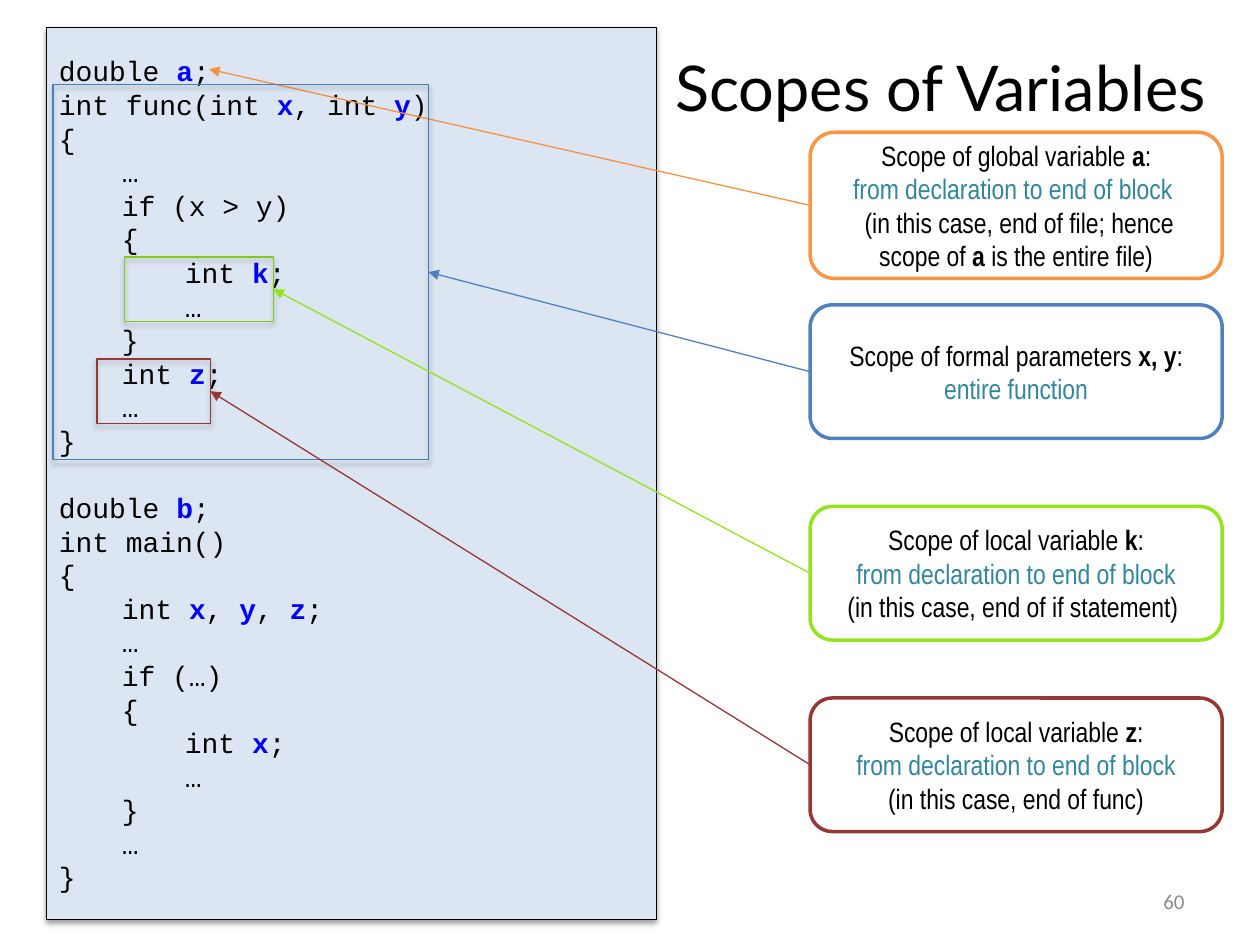
from dataclasses import dataclass

from lxml import etree
from pptx import Presentation
from pptx import util as u
from pptx.dml.color import RGBColor
from pptx.enum import shapes, text
from pptx.oxml.ns import qn

COLOURS = {
    "ink": "000000", "paper": "FFFFFF", "panel": "DCE6F2", "name": "0000FF",
    "rule": "31859C", "number": "8B8B8B", "orange": "F79646", "orange arrow": "F59240",
    "blue": "4F81BD", "blue frame": "4A7EBB", "green": "91E41E",
    "green frame": "80CA18", "red": "953735",
}
WIDTH, HEIGHT = u.Inches(10), u.Inches(7.5)
COLUMNS, ROWS = 40, 30

CODE = """double *a*;
int func(int *x*, int *y*)
{
\t…
\tif (x > y)
\t{
\t\tint *k*;
\t\t…
\t}
\tint *z*;
\t…
}

double *b*;
int main()
{
\tint *x*, *y*, *z*;
\t…
\tif (…)
\t{
\t\tint *x*;
\t\t…
\t}
\t…
}"""


@dataclass
class Box:
    """A rectangle in columns and rows of the slide grid."""
    left: float
    top: float
    width: float
    height: float

    def inside(self, left, top, width, height):
        """Return a box offset from this one's corner."""
        return Box(self.left + left, self.top + top, width, height)

    def lengths(self):
        """Return left, top, width and height in slide units."""
        return (across(self.left), down(self.top), across(self.width), down(self.height))


def across(columns):
    """Convert columns to a length."""
    return round(WIDTH * columns / COLUMNS)


def down(rows):
    """Convert rows to a length."""
    return round(HEIGHT * rows / ROWS)


def colour(name):
    """Look up a named colour."""
    return RGBColor.from_string(COLOURS[name])


def add_span(para, words, face, size, tint="ink", bold=False):
    """Add one formatted run."""
    span = para.add_run()
    span.text = words
    span.font.name, span.font.size, span.font.bold = face, u.Pt(size), bold
    span.font.color.rgb = colour(tint)


def add_marked(para, line, face, tint="ink", marked_tint="ink"):
    """Add a line at 16 points in which starred words are bold."""
    for index, words in enumerate(line.split("*")):
        if words:
            marked = index % 2 == 1
            add_span(para, words, face, 16, marked_tint if marked else tint, marked)


def add_shadow(shape, opacity, distance):
    """Give a shape a soft shadow below it."""
    shape.shadow.inherit = False
    effects = shape._element.spPr.find(qn("a:effectLst"))
    shadow = etree.SubElement(effects, qn("a:outerShdw"), blurRad=str(u.Pt(3.1)),
                              dist=str(u.Pt(distance)), dir="5400000", rotWithShape="0")
    tint = etree.SubElement(shadow, qn("a:srgbClr"), val=COLOURS["ink"])
    etree.SubElement(tint, qn("a:alpha"), val=str(opacity * 1000))


def add_panel(page, box, kind, line, weight, fill=None):
    """Add an outlined shape, filled if a fill is named."""
    shape = page.shapes.add_shape(kind, *box.lengths())
    shape.shadow.inherit = False
    shape.line.color.rgb, shape.line.width = colour(line), u.Pt(weight)
    if fill:
        shape.fill.solid()
        shape.fill.fore_color.rgb = colour(fill)
    else:
        shape.fill.background()
    shape.text_frame.word_wrap = True
    shape.text_frame.vertical_anchor = text.MSO_ANCHOR.MIDDLE
    return shape


def add_paragraphs(frame, lines, alignment):
    """Yield an aligned paragraph with each line."""
    for index, line in enumerate(lines):
        para = frame.add_paragraph() if index else frame.paragraphs[0]
        para.alignment = alignment
        yield para, line


def place_title(page, box):
    """Place the slide title."""
    title = page.shapes.title
    title.left, title.top, title.width, title.height = box.lengths()
    title.text_frame.vertical_anchor = text.MSO_ANCHOR.MIDDLE
    para = title.text_frame.paragraphs[0]
    para.alignment = text.PP_ALIGN.LEFT
    add_span(para, "Scopes of Variables", "Lato", 36)


def place_code(page, box):
    """Place the program listing."""
    panel = add_panel(page, box, shapes.MSO_SHAPE.RECTANGLE, "ink", 0.75, "panel")
    add_shadow(panel, 38, 1.6)
    lines = CODE.split("\n")
    for para, line in add_paragraphs(panel.text_frame, lines, text.PP_ALIGN.LEFT):
        add_marked(para, line, "Courier New", marked_tint="name")
        if not line:
            para._p.get_or_add_endParaRPr().set("sz", "1600")


def place_label(page, box, tint, paragraphs):
    """Place a rounded label whose second line states the rule."""
    label = add_panel(page, box, shapes.MSO_SHAPE.ROUNDED_RECTANGLE, tint, 2, "paper")
    for para, block in add_paragraphs(label.text_frame, paragraphs, text.PP_ALIGN.CENTER):
        for index, line in enumerate(block.split("\n")):
            if index:
                para.add_line_break()
            add_marked(para, line, "Arial Narrow", "rule" if index == 1 else "ink")
    return label


def place_frame(page, box, tint):
    """Outline the lines of code that form a scope."""
    frame = add_panel(page, box, shapes.MSO_SHAPE.RECTANGLE, tint, 0.75)
    add_shadow(frame, 35, 1.8)
    return frame


def place_arrow(page, label, tint, frame=None, target=None):
    """Point from a label to a scope frame or to a target box's corner."""
    end = target.lengths()[:2] if target else (0, 0)
    arrow = page.shapes.add_connector(shapes.MSO_CONNECTOR.STRAIGHT, 0, 0, *end)
    arrow.begin_connect(label, 1)
    if frame:
        arrow.end_connect(frame, 3)
    arrow.line.color.rgb, arrow.line.width = colour(tint), u.Pt(0.75)
    etree.SubElement(arrow.line._get_or_add_ln(), qn("a:tailEnd"), type="triangle")
    etree.SubElement(arrow._element.spPr, qn("a:effectLst"))


def place_scopes(page, code, column):
    """Place the four labels, with their frames and arrows."""
    rule = "from declaration to end of block"
    local = "Scope of local variable *{}*:\n" + rule
    scopes = [
        (0, 4.64, "orange", "orange arrow", None, None,
         [f"Scope of global variable *a*:\n{rule} \n"
          " (in this case, end of file; hence scope of *a* is the entire file)"]),
        (5.48, 4.24, "blue", "blue", "blue frame", (0.2, 1.8, 11.92, 11.92),
         ["Scope of formal parameters *x, y*:\nentire function"]),
        (11.88, 4.24, "green", "green", "green frame", (2.48, 7.28, 4.72, 2.04),
         [local.format("k"), "(in this case, end of if statement) "]),
        (17.96, 4.24, "red", "red", "red", (1.6, 10.52, 3.6, 2.04),
         [local.format("z"), "(in this case, end of func)"]),
    ]
    for top, height, tint, arrow_tint, frame_tint, extent, paragraphs in scopes:
        label = place_label(page, column.inside(0, top, column.width, height), tint, paragraphs)
        if extent:
            frame = place_frame(page, code.inside(*extent), frame_tint)
            place_arrow(page, label, arrow_tint, frame=frame)
        else:
            place_arrow(page, label, arrow_tint, target=code.inside(5.16, 1.32, 0, 0))


def place_number(page, box):
    """Place the page number."""
    frame = page.shapes.add_textbox(*box.lengths()).text_frame
    frame.word_wrap = True
    frame.vertical_anchor = text.MSO_ANCHOR.MIDDLE
    frame.paragraphs[0].alignment = text.PP_ALIGN.RIGHT
    add_span(frame.paragraphs[0], "60", "Calibri", 12, "number")


def main():
    """Build and save the deck."""
    deck = Presentation()
    deck.slide_width, deck.slide_height = WIDTH, HEIGHT
    page = deck.slides.add_slide(deck.slide_layouts.get_by_name("Title Only"))
    code = Box(1.48, 0.88, 19.36, 28.32)
    place_title(page, Box(21.04, 0.24, 18.96, 5))
    place_code(page, code)
    place_scopes(page, code, Box(25.72, 4.2, 13.08, 22.2))
    place_number(page, Box(28.68, 27.8, 9.32, 1.6))
    deck.save("out.pptx")


if __name__ == "__main__":
    main()
